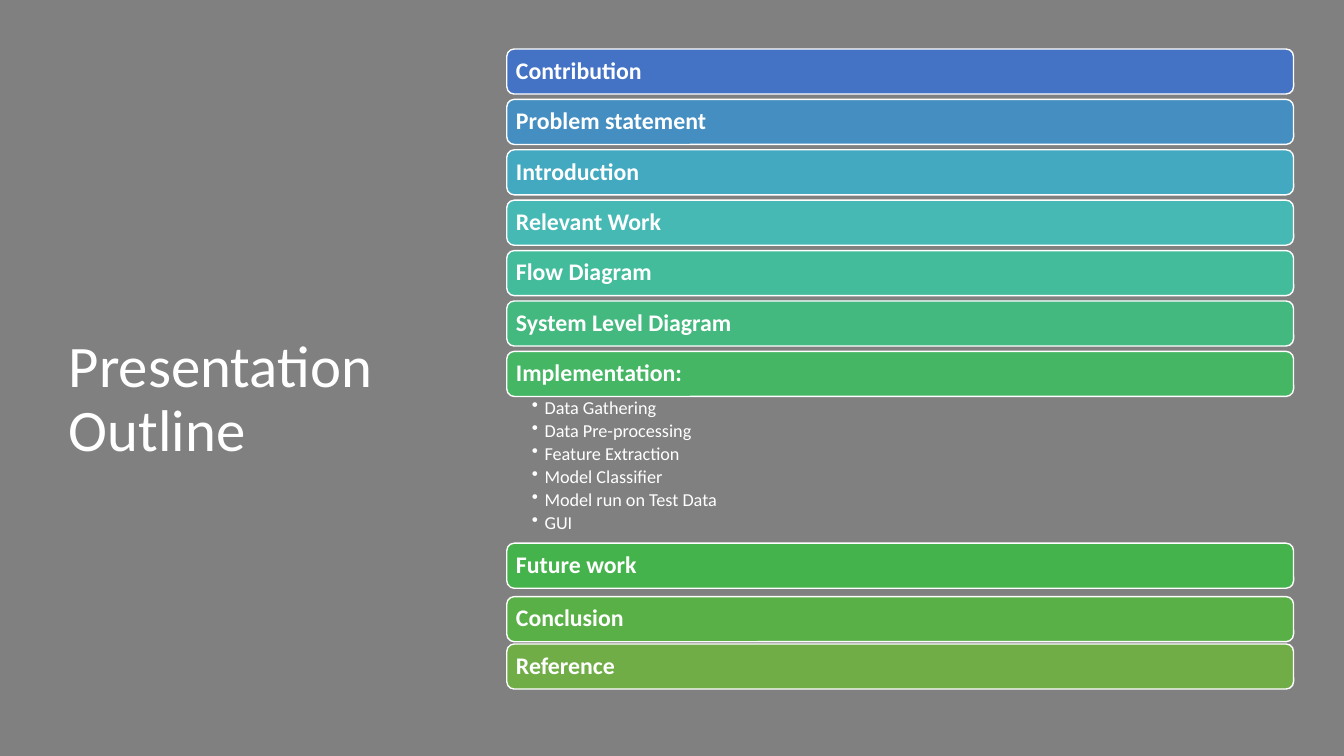
from dataclasses import dataclass

from lxml.etree import SubElement
from pptx import Presentation
from pptx.dml.color import RGBColor
from pptx.enum.shapes import MSO_SHAPE as Shape
from pptx.enum.text import MSO_ANCHOR as Anchor, MSO_AUTO_SIZE as Fit, PP_ALIGN as Align
from pptx.oxml.ns import qn
from pptx.slide import Slide
from pptx.text.text import TextFrame
from pptx.util import Pt

LEFT, WIDTH, HIGH = 362, 562, 32.2
TOP, STEP = 35, 36
WHITE = "FFFFFF"


@dataclass
class Bar:
    text: str
    fill: str
    top: float
    alpha: int = 100


HEADS = [
    ("Contribution", "4472C4"),
    ("Problem statement", "448EC2"),
    ("Introduction", "43A9C0"),
    ("Relevant Work", "43BEB9", 92),
    ("Flow Diagram", "43BC9C"),
    ("System Level Diagram", "44B97F"),
    ("Implementation:", "45B664"),
]
BARS = [Bar(text, fill, TOP + STEP * i, *alpha)
        for i, (text, fill, *alpha) in enumerate(HEADS)]
BARS += [
    Bar("Future work", "45B34B", 388),
    Bar("Conclusion", "59B046", 426.2),
    Bar("Reference", "70AD47", 460),
]
STEPS = ["Data Gathering", "Data Pre-processing", "Feature Extraction",
         "Model Classifier", "Model run on Test Data", "GUI"]


def paint(color, code: str) -> None:
    """Give a fill, line or font colour its hex value."""
    color.rgb = RGBColor.from_string(code)


def style(par, size: float, bold: bool = False) -> None:
    par.alignment = Align.LEFT
    font = par.font
    font.name, font.size, font.bold = "Calibri", Pt(size), bold
    paint(font.color, WHITE)


def pad(frame: TextFrame, left: float, right: float, ends: float) -> None:
    frame.word_wrap = True
    frame.margin_left, frame.margin_right = Pt(left), Pt(right)
    frame.margin_top = frame.margin_bottom = Pt(ends)


def draw_bar(slide: Slide, bar: Bar) -> None:
    box = slide.shapes.add_shape(
        Shape.ROUNDED_RECTANGLE, Pt(LEFT), Pt(bar.top), Pt(WIDTH), Pt(HIGH))
    box.shadow.inherit = False
    box.fill.solid()
    paint(box.fill.fore_color, bar.fill)
    if bar.alpha < 100:
        tint = box.fill._xPr.find(qn("a:solidFill"))[0]
        SubElement(tint, qn("a:alpha"), val=str(bar.alpha * 1000))
    paint(box.line.color, WHITE)
    box.line.width = Pt(1)
    frame = box.text_frame
    pad(frame, 5, 5, 5)
    frame.vertical_anchor = Anchor.MIDDLE
    par = frame.paragraphs[0]
    par.text = bar.text
    par.line_spacing = 0.9
    style(par, 17, True)


def draw_steps(slide: Slide) -> None:
    box = slide.shapes.add_textbox(Pt(LEFT), Pt(283), Pt(WIDTH), Pt(105))
    frame = box.text_frame
    pad(frame, 18, 9.4, 1.6)
    for i, text in enumerate(STEPS):
        par = frame.add_paragraph() if i else frame.paragraphs[0]
        par.text = text
        par.level = 1
        par.line_spacing = 0.9
        par.space_after = Pt(2.4)
        props = par._p.get_or_add_pPr()
        props.set("marL", str(Pt(9)))
        props.set("indent", str(Pt(-9)))
        SubElement(props, qn("a:buChar"), char="•")
        style(par, 13)


def draw_title(slide: Slide) -> None:
    title = slide.shapes.title
    title.left, title.top = Pt(42), Pt(162)
    title.width, title.height = Pt(359), Pt(173)
    frame = title.text_frame
    frame.auto_size = Fit.NONE
    pad(frame, 7.2, 7.2, 3.6)
    frame.vertical_anchor = Anchor.BOTTOM
    par = frame.paragraphs[0]
    par.text = "Presentation Outline"
    par.line_spacing = 0.9
    style(par, 42)


def main() -> None:
    deck = Presentation()
    deck.slide_width, deck.slide_height = Pt(960), Pt(540)
    slide = deck.slides.add_slide(deck.slide_layouts[5])
    back = slide.background.fill
    back.solid()
    paint(back.fore_color, "808080")
    draw_title(slide)
    for bar in BARS:
        draw_bar(slide, bar)
    draw_steps(slide)
    deck.save("out.pptx")


if __name__ == "__main__":
    main()
